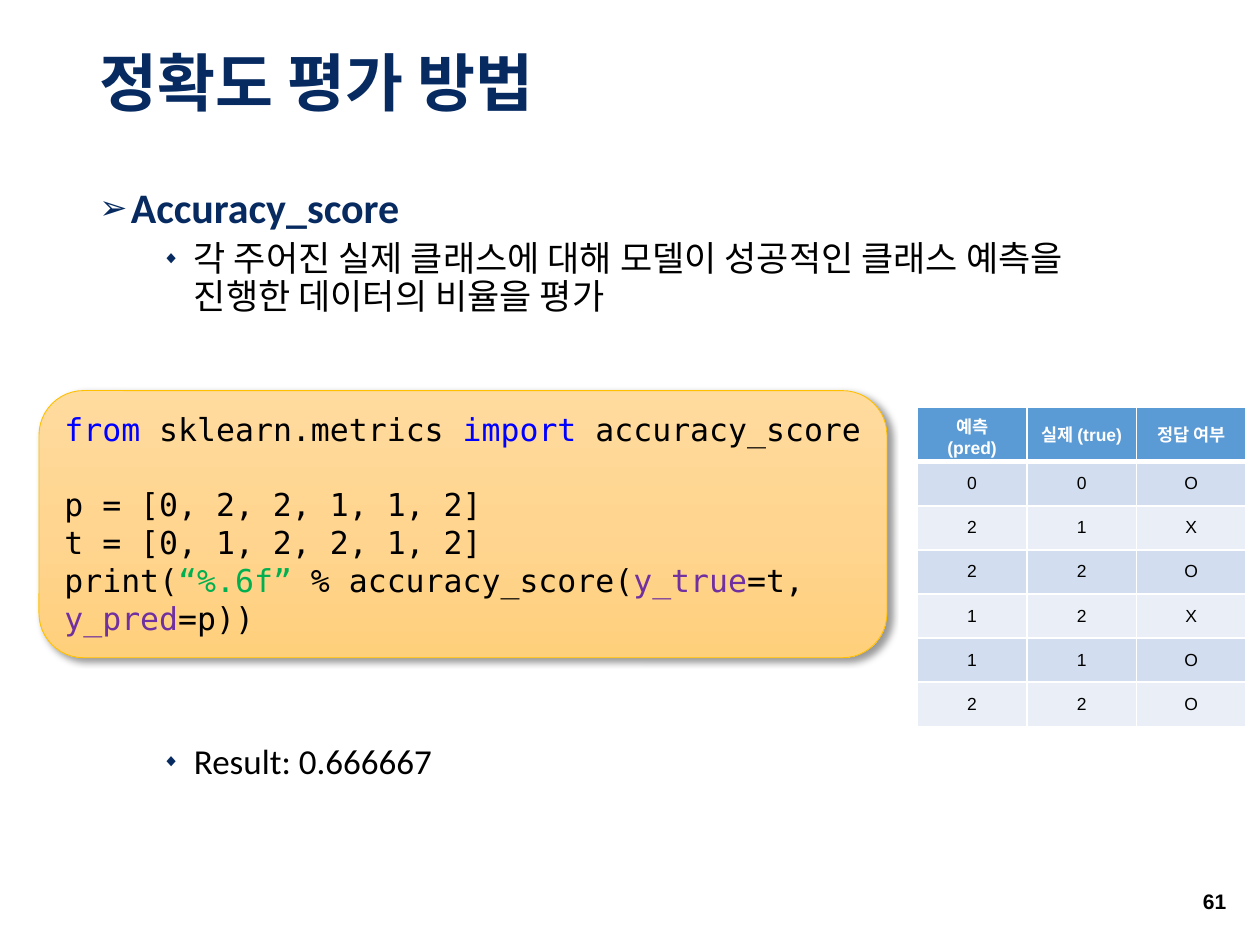
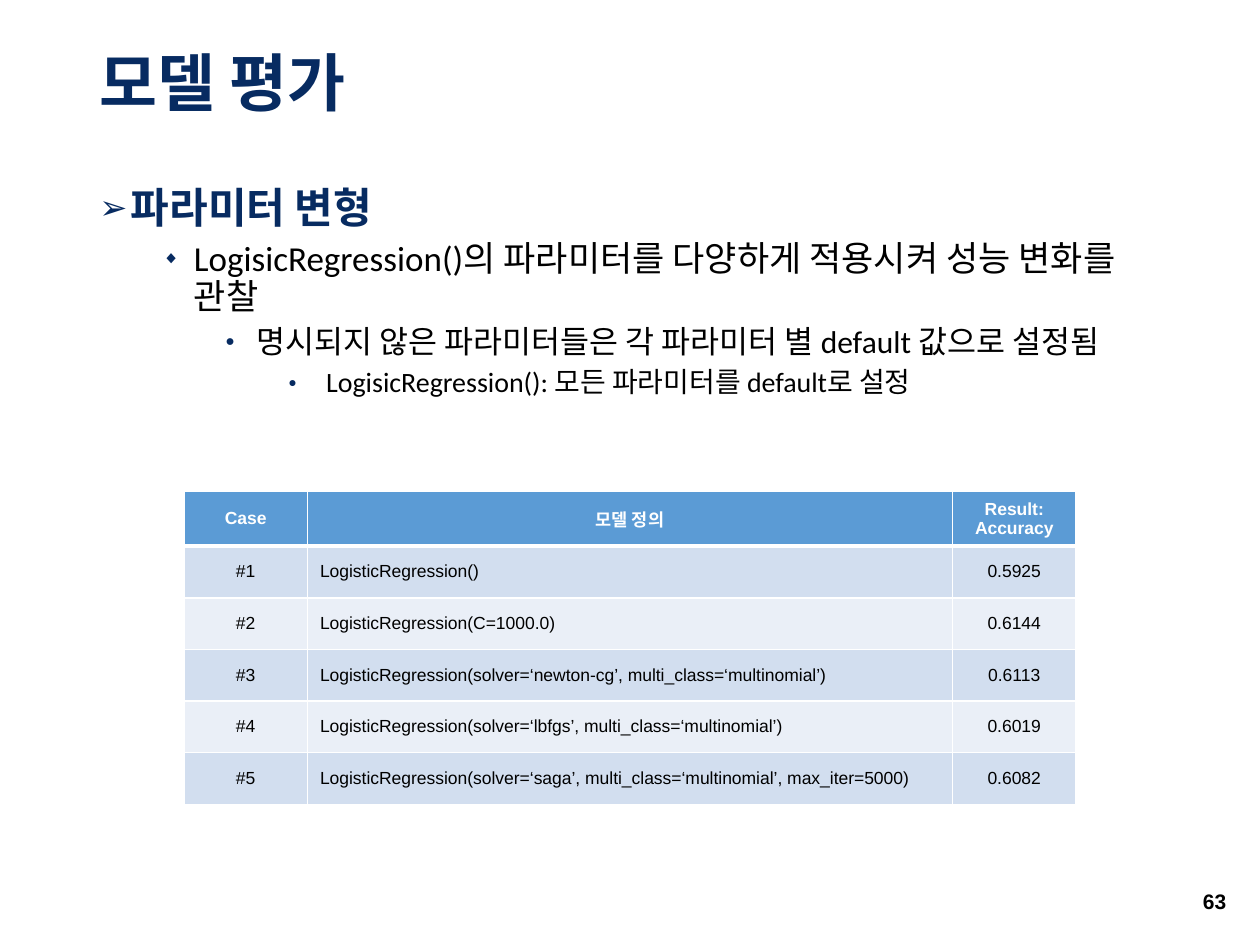
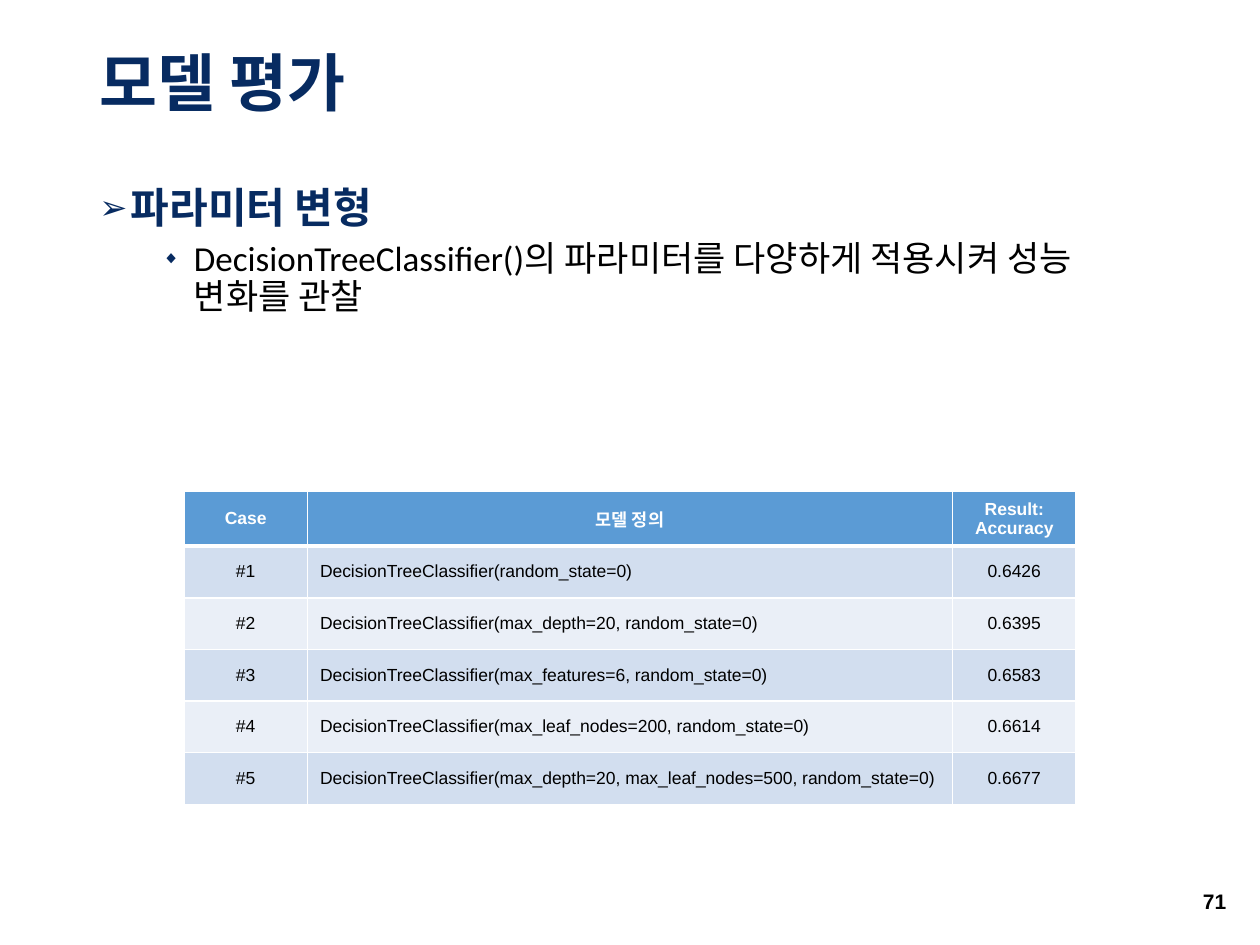
import copy
import pptx
import pptx.util
import pptx.dml.color
import pptx.enum.shapes
import pptx.enum.text
import pptx.oxml
import pptx.oxml.ns

NAVY, BLACK, WHITE = "072B61", "000000", "FFFFFF"
BLUE, GREEN, PLUM = "0000FF", "00B050", "7030A0"
HEAD, BANDS = "5B9BD5", ("D2DEEF", "EAEFF7")
GLOW, GOLD = ("FFDB9E", "FFD590", "FFD07C"), "FFC000"
SANS, BODY, MONO = "Arial", "Calibri", "DejaVu Sans Mono"
WIDE, HIGH = 10, 7.5
LEFT, SPAN = 0.69, 8.62

LEVELS = [
    {"size": 24, "color": NAVY, "bold": True, "gap": 10, "mark": "➢", "scale": 80},
    {"size": 20, "color": BLACK, "bold": False, "gap": 5, "mark": "◆", "scale": 50},
    {"size": 18, "color": BLACK, "bold": False, "gap": 5, "mark": "●", "scale": 50},
    {"size": 16, "color": BLACK, "bold": False, "gap": 5, "mark": "●", "scale": 50},
]

CODE = [
    (0, [("from ", BLUE), ("sklearn.metrics ", BLACK), ("import ", BLUE), ("accuracy_score", BLACK)]),
    (21.5, [("p = [0, 2, 2, 1, 1, 2]", BLACK)]),
    (0, [("t = [0, 1, 2, 2, 1, 2]", BLACK)]),
    (0, [("print(", BLACK), ("“%.6f” ", GREEN), ("% accuracy_score(", BLACK), ("y_true", PLUM),
         ("=t, ", BLACK), ("y_pred", PLUM), ("=p))", BLACK)]),
]

SCORE = {"at": (7.28, 3.23), "cols": (0.87, 0.87, 0.87), "row": 0.35, "left": None}
CASES = {"at": (1.46, 3.9), "cols": (0.98, 5.12, 0.98), "row": 0.41, "left": 1}
CASE_HEAD = ("Case", "모델 정의", "Result: Accuracy")

SLIDES = [
    {
        "title": "정확도 평가 방법", "page": 61, "code": CODE, "grid": SCORE,
        "body": [
            (0, "Accuracy_score"),
            (1, "각 주어진 실제 클래스에 대해 모델이 성공적인 클래스 예측을 진행한 데이터의 비율을 평가"),
            (1, "Result: 0.666667", 244),
        ],
        "rows": [
            ("예측 (pred)", "실제 (true)", "정답 여부"),
            ("0", "0", "O"), ("2", "1", "X"), ("2", "2", "O"),
            ("1", "2", "X"), ("1", "1", "O"), ("2", "2", "O"),
        ],
    },
    {
        "title": "모델 평가", "page": 63, "grid": CASES,
        "body": [
            (0, "파라미터 변형"),
            (1, "LogisicRegression()의 파라미터를 다양하게 적용시켜 성능 변화를 관찰"),
            (2, "명시되지 않은 파라미터들은 각 파라미터 별 default 값으로 설정됨"),
            (3, " LogisicRegression(): 모든 파라미터를 default로 설정"),
        ],
        "rows": [
            CASE_HEAD,
            ("#1", "LogisticRegression()", "0.5925"),
            ("#2", "LogisticRegression(C=1000.0)", "0.6144"),
            ("#3", "LogisticRegression(solver=‘newton-cg’, multi_class=‘multinomial’)", "0.6113"),
            ("#4", "LogisticRegression(solver=‘lbfgs’, multi_class=‘multinomial’)", "0.6019"),
            ("#5", "LogisticRegression(solver=‘saga’, multi_class=‘multinomial’, max_iter=5000)", "0.6082"),
        ],
    },
    {
        "title": "모델 평가", "page": 71, "grid": CASES,
        "body": [
            (0, "파라미터 변형"),
            (1, "DecisionTreeClassifier()의 파라미터를 다양하게 적용시켜 성능 변화를 관찰"),
        ],
        "rows": [
            CASE_HEAD,
            ("#1", "DecisionTreeClassifier(random_state=0)", "0.6426"),
            ("#2", "DecisionTreeClassifier(max_depth=20, random_state=0)", "0.6395"),
            ("#3", "DecisionTreeClassifier(max_features=6, random_state=0)", "0.6583"),
            ("#4", "DecisionTreeClassifier(max_leaf_nodes=200, random_state=0)", "0.6614"),
            ("#5", "DecisionTreeClassifier(max_depth=20, max_leaf_nodes=500, random_state=0)", "0.6677"),
        ],
    },
]

ALIGN = pptx.enum.text.PP_ALIGN
MIDDLE = pptx.enum.text.MSO_ANCHOR.MIDDLE
inch, point = pptx.util.Inches, pptx.util.Pt


def rgb(code):
    return pptx.dml.color.RGBColor.from_string(code)


def node(text):
    tag, rest = text.split(" ", 1)
    return pptx.oxml.parse_xml(f"<{tag} {pptx.oxml.ns.nsdecls('a')} {rest}")


def style(run, size, color, face, bold=False):
    font = run.font
    font.size, font.name, font.bold = point(size), face, bold
    font.color.rgb = rgb(color)


def write(para, text, *look):
    para.text = text
    for run in para.runs:
        style(run, *look)


def add_box(slide, *at):
    frame = slide.shapes.add_textbox(*map(inch, at)).text_frame
    frame.word_wrap = True
    return frame


def add_title(slide, text):
    title = slide.shapes.title
    title.left, title.top = inch(LEFT), inch(0.18)
    title.width, title.height = inch(SPAN), inch(1.01)
    frame = title.text_frame
    frame.auto_size = pptx.enum.text.MSO_AUTO_SIZE.NONE
    frame.vertical_anchor = MIDDLE
    para = frame.paragraphs[0]
    write(para, text, 36, NAVY, BODY, True)
    para.alignment, para.line_spacing = ALIGN.LEFT, 0.9


def add_body(slide, items):
    frame = add_box(slide, LEFT, 1.44, SPAN, 5.44)
    for i, (level, text, *gap) in enumerate(items):
        look = LEVELS[level]
        para = frame.add_paragraph() if i else frame.paragraphs[0]
        write(para, text, look["size"], look["color"], BODY, look["bold"])
        para.level, para.line_spacing = level, 0.9
        para.space_before = point(gap[0] if gap else look["gap"])
        props = para._p.get_or_add_pPr()
        props.set("marL", str(inch(0.25 + 0.5 * level)))
        props.set("indent", str(inch(-0.25)))
        props.append(node(f'a:buClr ><a:srgbClr val="{NAVY}"/></a:buClr>'))
        props.append(node(f'a:buSzPct val="{look["scale"]}000"/>'))
        props.append(node('a:buFont typeface="Arial"/>'))
        props.append(node(f'a:buChar char="{look["mark"]}"/>'))


def add_page(slide, page):
    frame = add_box(slide, WIDE - 0.69, HIGH - 0.55, 0.52, 0.4)
    frame.vertical_anchor = MIDDLE
    para = frame.paragraphs[0]
    write(para, str(page), 12, BLACK, SANS, True)
    para.alignment = ALIGN.RIGHT


def edge(cell, widths):
    props = cell._tc.get_or_add_tcPr()
    for i, (side, width) in enumerate(zip("LRTB", widths)):
        props.insert(i, node(
            f'a:ln{side} w="{point(width)}"><a:solidFill><a:srgbClr val="{WHITE}"/>'
            f'</a:solidFill></a:ln{side}>'))


def add_grid(slide, rows, grid):
    cols, high = grid["cols"], grid["row"]
    size = (sum(cols), high * len(rows))
    table = slide.shapes.add_table(len(rows), len(cols), *map(inch, grid["at"] + size)).table
    for col, width in zip(table.columns, cols):
        col.width = inch(width)
    for r, row in enumerate(rows):
        table.rows[r].height = inch(high)
        top = r == 0
        for c, text in enumerate(row):
            cell = table.cell(r, c)
            cell.vertical_anchor = MIDDLE
            cell.fill.solid()
            cell.fill.fore_color.rgb = rgb(HEAD if top else BANDS[(r - 1) % 2])
            edge(cell, (1, 1, 3 if r == 1 else 1, 3 if top else 1))
            para = cell.text_frame.paragraphs[0]
            write(para, text, 10, WHITE if top else BLACK, SANS, top)
            para.alignment = ALIGN.LEFT if c == grid["left"] and not top else ALIGN.CENTER


def add_code(slide, lines):
    kind = pptx.enum.shapes.MSO_SHAPE.ROUNDED_RECTANGLE
    card = slide.shapes.add_shape(kind, *map(inch, (0.31, 3.1, 6.73, 2.12)))
    card.fill.gradient()
    card.fill.gradient_angle = 270
    stops = card.fill._fill._gradFill.gsLst
    stops.insert(1, copy.deepcopy(stops[0]))
    for i, (stop, color) in enumerate(zip(card.fill.gradient_stops, GLOW)):
        stop.color.rgb = rgb(color)
        stop.position = i / 2
    card.line.color.rgb, card.line.width = rgb(GOLD), point(0.5)
    card.shadow.inherit = False
    card._element.spPr.find(pptx.oxml.ns.qn("a:effectLst")).append(node(
        f'a:outerShdw blurRad="{point(4)}" dist="{point(3)}" dir="2700000" algn="tl" rotWithShape="0">'
        f'<a:srgbClr val="{BLACK}"><a:alpha val="40000"/></a:srgbClr></a:outerShdw>'))
    frame = card.text_frame
    frame.word_wrap = True
    frame.margin_right = inch(0.05)
    frame.vertical_anchor = pptx.enum.text.MSO_ANCHOR.TOP
    for i, (gap, parts) in enumerate(lines):
        para = frame.add_paragraph() if i else frame.paragraphs[0]
        para.alignment, para.space_before = ALIGN.LEFT, point(gap)
        for text, color in parts:
            run = para.add_run()
            run.text = text
            style(run, 18, color, MONO)


def main():
    deck = pptx.Presentation()
    deck.slide_width, deck.slide_height = inch(WIDE), inch(HIGH)
    for data in SLIDES:
        slide = deck.slides.add_slide(deck.slide_layouts[5])
        add_title(slide, data["title"])
        add_body(slide, data["body"])
        add_page(slide, data["page"])
        add_grid(slide, data["rows"], data["grid"])
        if "code" in data:
            add_code(slide, data["code"])
    deck.save("out.pptx")


if __name__ == "__main__":
    main()
